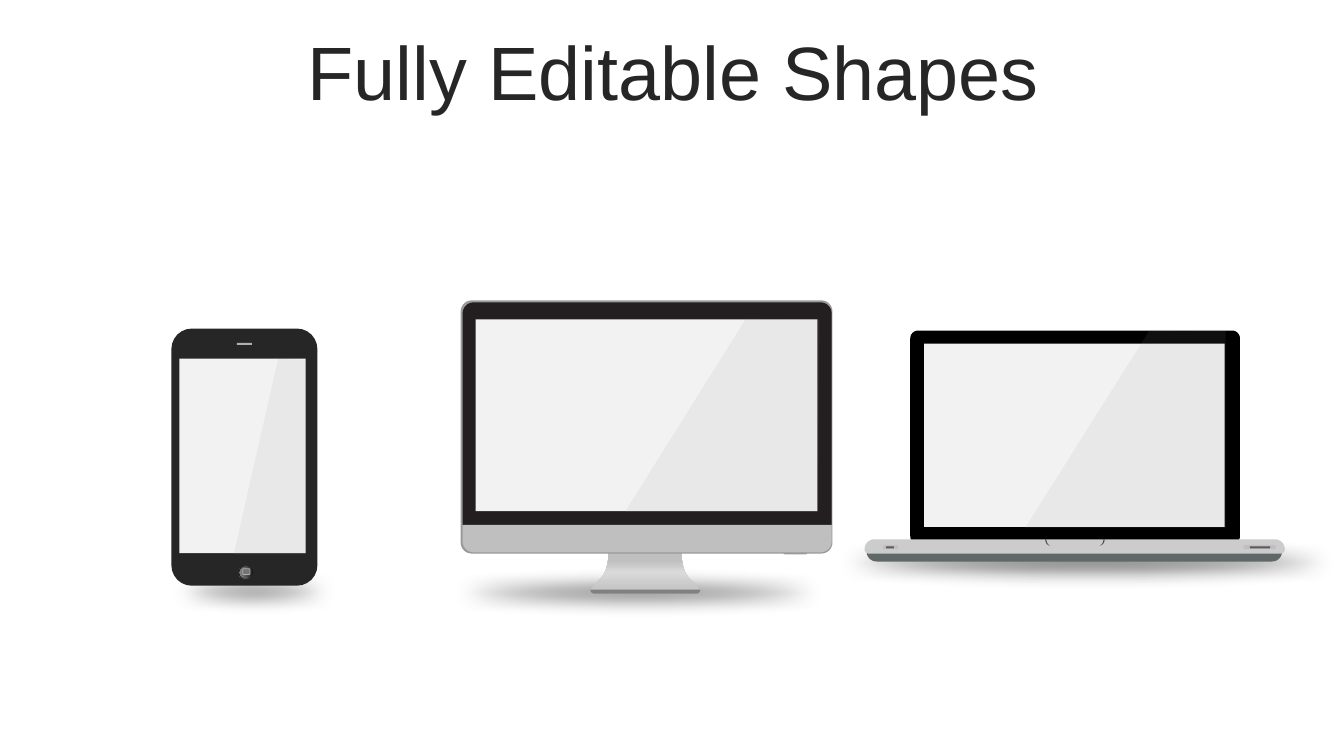
"""Build a slide with a phone, a desktop monitor and a laptop drawn from editable shapes."""
from dataclasses import dataclass
from typing import Optional, Union

import lxml.etree
import pptx
import pptx.dml.color
import pptx.enum.shapes
import pptx.enum.text
import pptx.oxml
import pptx.oxml.ns
import pptx.util

Cm = pptx.util.Cm
PRESET = pptx.enum.shapes.MSO_SHAPE
Point = tuple[float, float]

COLOURS = {
    "title": "262626", "shadow": "808080", "screen": "F2F2F2", "glass": "999999",
    "base": "5F6767", "lid": "000000", "deck": "CCCCCC", "notch": "4D4D4D",
    "slot": "BFBFBF", "slot_mark": "595959", "shell": "999999", "bezel": "231F20",
    "foot": "808080", "chin": "BFBFBF", "phone": "262626", "speaker": "B0B0B0",
    "home_icon": "737373",
}
GRADIENTS = {
    "neck": (270, [(0, "BFBFBF"), (53, "D9D9D9"), (83, "BFBFBF"), (100, "BFBFBF")]),
    "home": (180, [(0, "0F0F0F"), (56, "595959"), (91, "808080"), (100, "BFBFBF")]),
}
GLASS_ALPHA = 10
CURVE_STEPS = 8
ROUNDING = 0.55


@dataclass(frozen=True)
class Preset:
    """A preset shape, measured in centimetres."""
    kind: PRESET
    left: float
    top: float
    width: float
    height: float
    colour: str
    corner: Optional[float] = None
    edge: Optional[str] = None
    edge_width: float = 0


@dataclass(frozen=True)
class Panel:
    """A rectangle with separate top and bottom corner radii."""
    left: float
    top: float
    width: float
    height: float
    colour: str
    top_radius: float = 0
    bottom_radius: float = 0


@dataclass(frozen=True)
class Outline:
    """A closed outline of points and, as triples, cubic curves."""
    start: Point
    steps: list
    colour: str


Part = Union[Preset, Panel, Outline]


def slot(left: float, width: float, inset: float, mark_width: float) -> list[Part]:
    """Return a slot in the laptop deck with its dark mark."""
    return [Preset(PRESET.ROUNDED_RECTANGLE, left, 13.74, width, 0.1, "slot", 0.28),
            Preset(PRESET.ROUNDED_RECTANGLE, left + inset, 13.77, mark_width, 0.05,
                   "slot_mark", 0.28)]


def notch_side(outer: float, inward: int) -> Outline:
    """Return one curled end of the laptop notch."""
    inner, tip = outer + 0.03 * inward, outer + 0.13 * inward
    return Outline((outer, 13.59),
                   [((outer, 13.59), (outer, 13.74), (tip, 13.75)),
                    ((inner, 13.72), (inner, 13.59), (inner, 13.59))], "notch")


LAPTOP: list[Part] = [
    Preset(PRESET.OVAL, 19.1, 13.46, 16.59, 1.4, "shadow"),
    Panel(21.84, 13.84, 10.47, 0.31, "base", 0, 0.25),
    Panel(22.94, 8.33, 8.31, 5.38, "lid", 0.2, 0.2),
    Panel(23.29, 8.66, 7.57, 4.62, "screen"),
    Panel(21.79, 13.59, 10.59, 0.36, "deck", 0.25, 0.1),
    notch_side(26.34, 1),
    notch_side(27.84, -1),
    *slot(22.25, 0.38, 0.08, 0.2),
    *slot(31.34, 0.81, 0.16, 0.51),
    Outline((28.98, 8.31), [(30.89, 8.33), (30.89, 13.31), (25.83, 13.31)], "glass"),
]
MONITOR: list[Part] = [
    Preset(PRESET.OVAL, 9.37, 14.3, 13.46, 1.27, "shadow"),
    Outline((17.37, 14.58),
            [((17.17, 14.38), (17.17, 13.94), (17.17, 13.94)), (15.34, 13.94),
             ((15.34, 13.94), (15.34, 14.38), (15.14, 14.58)),
             ((14.96, 14.78), (14.66, 14.96), (15.19, 14.96)), (17.35, 14.96),
             ((17.88, 14.96), (17.55, 14.78), (17.37, 14.58))], "neck"),
    Panel(11.61, 7.57, 9.37, 6.38, "shell", 0.28, 0.28),
    Panel(19.74, 13.92, 0.61, 0.05, "shell", 0, 0.05),
    Panel(11.66, 7.62, 9.3, 5.61, "bezel", 0.28, 0),
    Panel(14.88, 14.86, 2.77, 0.1, "foot", 0, 0.1),
    Panel(11.66, 13.23, 9.3, 0.69, "chin", 0, 0.28),
    Panel(11.99, 8.05, 8.61, 4.83, "screen"),
    Outline((18.8, 8.03), [(20.65, 8.05), (20.62, 12.9), (15.75, 12.9)], "glass"),
]
PHONE: list[Part] = [
    Preset(PRESET.OVAL, 3.2, 14.3, 6.38, 1.22, "shadow"),
    Preset(PRESET.ROUNDED_RECTANGLE, 4.32, 8.28, 3.68, 6.48, "phone", 0.14),
    Preset(PRESET.RECTANGLE, 5.97, 8.64, 0.38, 0.05, "speaker"),
    Preset(PRESET.OVAL, 6.02, 14.25, 0.38, 0.36, "home", None, "phone"),
    Preset(PRESET.ROUNDED_RECTANGLE, 6.12, 14.33, 0.18, 0.15, "home_icon", None,
           "speaker", 0.5),
    Panel(4.52, 9.04, 3.18, 4.9, "screen"),
    Outline((7.01, 9.04), [(7.7, 9.07), (7.7, 13.97), (5.89, 13.97)], "glass"),
]


def rgb(name: str) -> pptx.dml.color.RGBColor:
    """Return the named colour."""
    return pptx.dml.color.RGBColor.from_string(COLOURS[name])


def paint(shape, name: str) -> None:
    """Fill a shape with a named colour or gradient and take off its line and shadow."""
    shape.shadow.inherit = False
    shape.line.fill.background()
    if name in GRADIENTS:
        angle, stops = GRADIENTS[name]
        marks = "".join(f'<a:gs pos="{pos * 1000}"><a:srgbClr val="{colour}"/></a:gs>'
                        for pos, colour in stops)
        gradient = pptx.oxml.parse_xml(
            f'<a:gradFill {pptx.oxml.ns.nsdecls("a")} rotWithShape="1"><a:gsLst>{marks}'
            f'</a:gsLst><a:lin ang="{angle * 60000}" scaled="0"/></a:gradFill>')
        shape.line._get_or_add_ln().addprevious(gradient)
        return
    shape.fill.solid()
    shape.fill.fore_color.rgb = rgb(name)
    properties = shape._element.spPr
    if name == "glass":
        colour = properties.find(".//" + pptx.oxml.ns.qn("a:srgbClr"))
        lxml.etree.SubElement(colour, pptx.oxml.ns.qn("a:alpha"), val=str(GLASS_ALPHA * 1000))
    if name == "shadow":
        effects = properties.find(pptx.oxml.ns.qn("a:effectLst"))
        lxml.etree.SubElement(effects, pptx.oxml.ns.qn("a:softEdge"), rad=str(Cm(0.45)))


def panel_outline(panel: Panel) -> Outline:
    """Turn a panel into an outline with rounded corners."""
    left, top = panel.left, panel.top
    right, bottom = left + panel.width, top + panel.height
    steps: list = []
    for x, y, across, down, radius in (
            (right, top, 1, 0, panel.top_radius), (right, bottom, 0, 1, panel.bottom_radius),
            (left, bottom, -1, 0, panel.bottom_radius), (left, top, 0, -1, panel.top_radius)):
        if not radius:
            steps.append((x, y))
            continue
        near = radius * (1 - ROUNDING)
        steps += [(x - across * radius, y - down * radius),
                  ((x - across * near, y - down * near), (x - down * near, y + across * near),
                   (x - down * radius, y + across * radius))]
    return Outline((left + panel.top_radius, top), steps, panel.colour)


def curve(p0: Point, p1: Point, p2: Point, p3: Point) -> list[Point]:
    """Return points along a cubic curve, without its start."""
    return [tuple((1 - t) ** 3 * a + 3 * (1 - t) ** 2 * t * b + 3 * (1 - t) * t * t * c + t ** 3 * d
                  for a, b, c, d in zip(p0, p1, p2, p3))
            for t in (step / CURVE_STEPS for step in range(1, CURVE_STEPS + 1))]


def draw(slide, part: Part) -> None:
    """Draw one part of a device."""
    if isinstance(part, Preset):
        shape = slide.shapes.add_shape(part.kind, Cm(part.left), Cm(part.top),
                                       Cm(part.width), Cm(part.height))
        if part.corner is not None:
            shape.adjustments[0] = part.corner
        paint(shape, part.colour)
        if part.edge:
            shape.line.color.rgb = rgb(part.edge)
            shape.line.width = pptx.util.Pt(part.edge_width)
        return
    outline = panel_outline(part) if isinstance(part, Panel) else part
    points = [outline.start]
    for step in outline.steps:
        points += curve(points[-1], *step) if len(step) == 3 else [step]
    first, *rest = [(Cm(x), Cm(y)) for x, y in points]
    builder = slide.shapes.build_freeform(*first)
    builder.add_line_segments(rest, close=True)
    paint(builder.convert_to_shape(), outline.colour)


def add_text(slide, text: str, *, left: float, top: float, width: float, height: float,
             size: float, colour: str, font: str = "Arial") -> None:
    """Add a centred text box."""
    frame = slide.shapes.add_textbox(Cm(left), Cm(top), Cm(width), Cm(height)).text_frame
    frame.word_wrap = True
    frame.vertical_anchor = pptx.enum.text.MSO_ANCHOR.MIDDLE
    paragraph = frame.paragraphs[0]
    paragraph.text = text
    paragraph.alignment = pptx.enum.text.PP_ALIGN.CENTER
    paragraph.line_spacing = 0.9
    paragraph.font.size = pptx.util.Pt(size)
    paragraph.font.name = font
    paragraph.font.color.rgb = rgb(colour)


def main() -> None:
    """Build and save the slide."""
    deck = pptx.Presentation()
    deck.slide_width, deck.slide_height = Cm(33.87), Cm(19.05)
    slide = deck.slides.add_slide(deck.slide_layouts[6])
    add_text(slide, "Fully Editable Shapes", left=0.89, top=0.91, width=32.16, height=2.01,
             size=54, colour="title")
    for part in LAPTOP + MONITOR + PHONE:
        draw(slide, part)
    deck.save("out.pptx")


if __name__ == "__main__":
    main()
